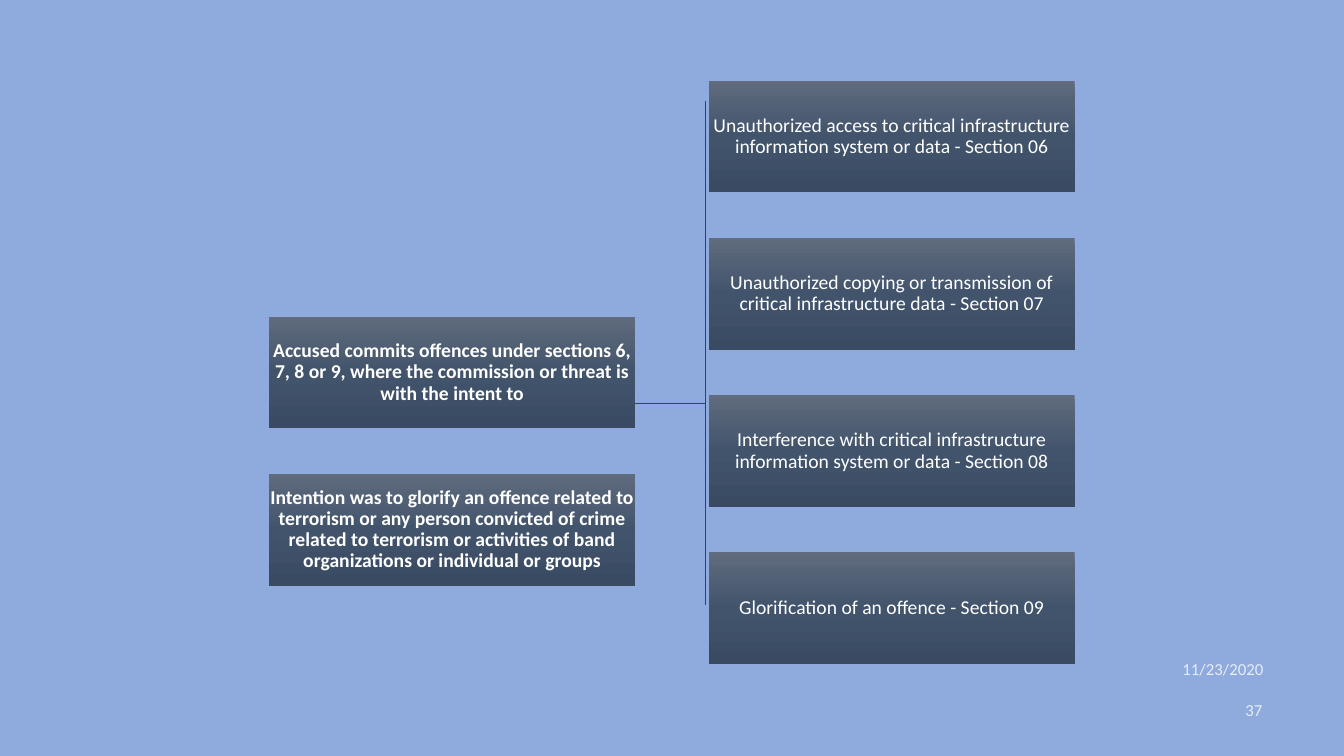
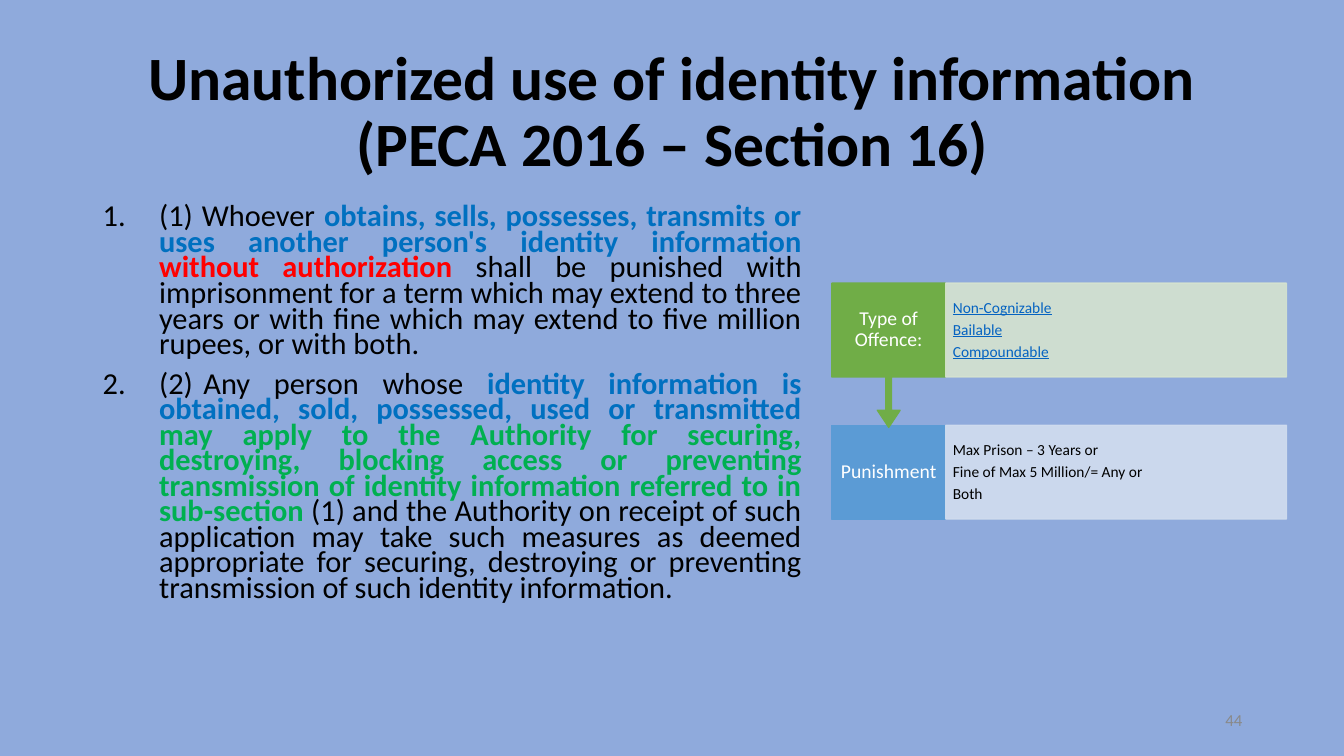
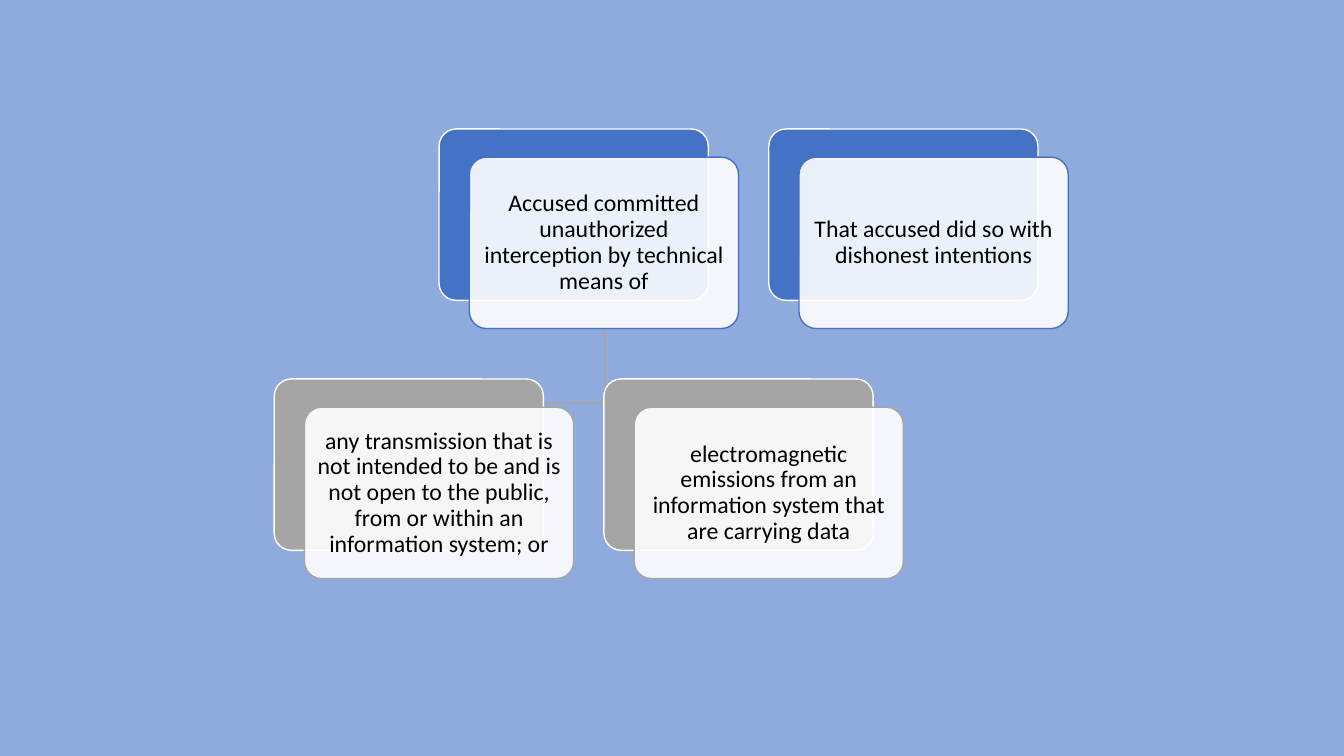
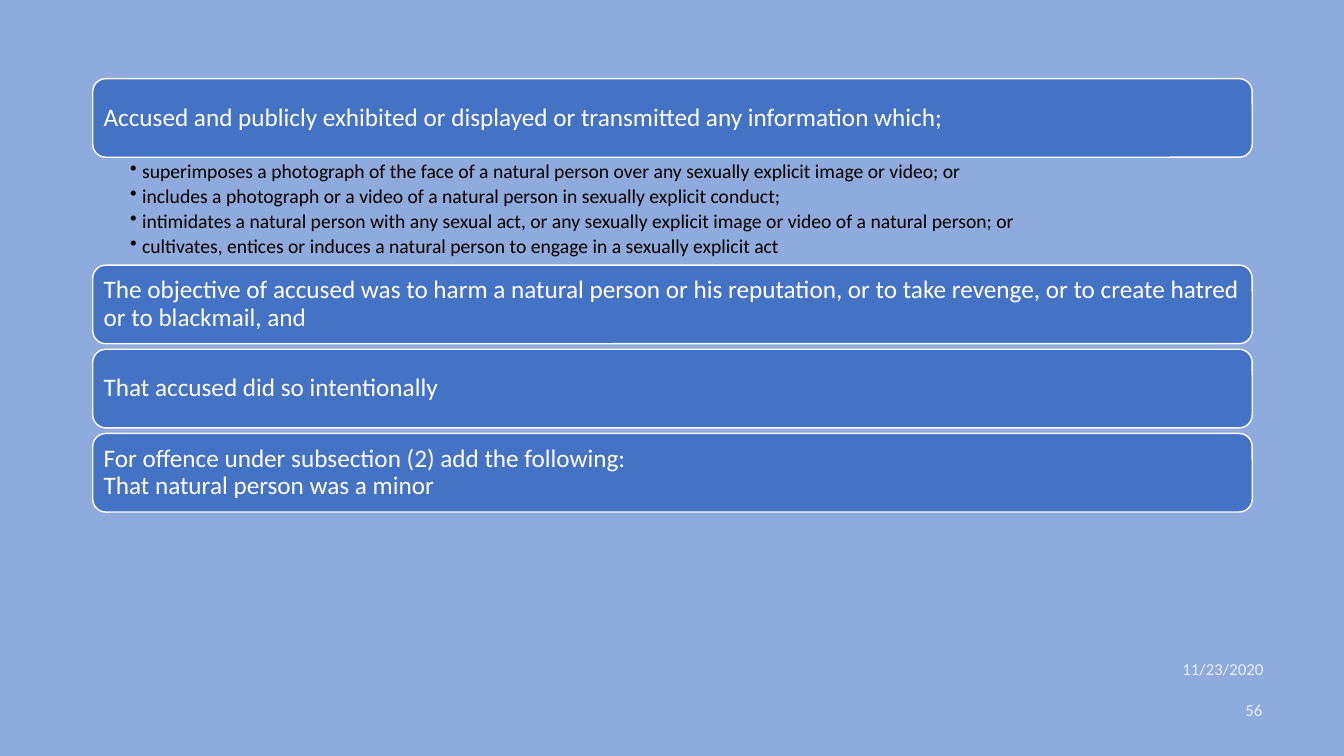
from lxml.etree import SubElement
from copy import deepcopy
from pptx import Presentation
from pptx.dml.color import RGBColor
from pptx.enum.shapes import MSO_SHAPE as SHAPE
from pptx.enum.text import MSO_ANCHOR as ANCHOR, PP_ALIGN as ALIGN
from pptx.oxml.ns import qn
from pptx.util import Inches, Pt

FONT = "Calibri"
TITLE_ONLY, BLANK = 5, 6
BACKDROP = RGBColor(0x8F, 0xAA, 0xDC)
WHITE = RGBColor(0xFF, 0xFF, 0xFF)
BLACK = RGBColor(0x00, 0x00, 0x00)
BLUE = RGBColor(0x44, 0x72, 0xC4)
GRAY = RGBColor(0xA5, 0xA5, 0xA5)
SLATE = RGBColor(0x36, 0x43, 0x55)
SLATE_STOPS = [(0, RGBColor(0x60, 0x6B, 0x7D)),
               (0.5, RGBColor(0x42, 0x54, 0x6C)),
               (1, RGBColor(0x39, 0x4A, 0x62))]
GREEN = RGBColor(0x70, 0xAD, 0x47)
PALE_GREEN = RGBColor(0xD5, 0xE3, 0xCF)
SKY = RGBColor(0x5B, 0x9B, 0xD5)
PALE_SKY = RGBColor(0xD2, 0xDE, 0xEF)
LINK = RGBColor(0x05, 0x63, 0xC1)
NUMBER_GRAY = RGBColor(0x89, 0x89, 0x89)
TEXT_BLUE = RGBColor(0x00, 0x70, 0xC0)
TEXT_RED = RGBColor(0xFF, 0x00, 0x00)
TEXT_GREEN = RGBColor(0x00, 0xB0, 0x50)


def set_opacity(parent, percent):
    """Make the solid fill held by an XML element partly transparent."""
    color = parent.find(qn("a:solidFill"))[0]
    SubElement(color, qn("a:alpha")).set("val", str(percent * 1000))


def set_bullet(p, indent, tag, **attrs):
    pPr = p._p.get_or_add_pPr()
    pPr.set("marL", str(Inches(indent)))
    pPr.set("indent", str(-Inches(indent)))
    SubElement(pPr, qn(tag), attrs)


def style_run(r, size, color, bold=False):
    r.font.name, r.font.size, r.font.bold = FONT, Pt(size), bold
    r.font.color.rgb = color


def setup_frame(sp, insets, anchor):
    tf = sp.text_frame
    tf.word_wrap = True
    tf.vertical_anchor = anchor
    tf.margin_left, tf.margin_top, tf.margin_right, tf.margin_bottom = map(Inches, insets)
    return tf


def write(sp, lines, size, color, align=ALIGN.CENTER, insets=(0.07,) * 4,
          anchor=ANCHOR.MIDDLE, bold=False, after=0.35, bullet=None):
    """Fill a shape with one paragraph per line; after is a share of the size."""
    tf = setup_frame(sp, insets, anchor)
    for i, line in enumerate(lines):
        p = tf.add_paragraph() if i else tf.paragraphs[0]
        p.text = line
        if bullet:
            set_bullet(p, 0.12, "a:buChar", char=bullet)
        p.alignment = align
        p.line_spacing = 0.9
        p.space_after = Pt(round(size * after, 1))
        for r in p.runs:
            style_run(r, size, color, bold)
    return tf


def add_box(slide, kind, box, fill=None, line=None, opacity=None):
    sp = slide.shapes.add_shape(kind, *map(Inches, box))
    sp.shadow.inherit = False
    if fill is not None:
        sp.fill.solid()
        sp.fill.fore_color.rgb = fill
        if opacity:
            set_opacity(sp.element.spPr, opacity)
    if line is None:
        sp.line.fill.background()
    else:
        sp.line.color.rgb = line
        sp.line.width = Pt(1)
    return sp


def add_textbox(slide, box):
    return slide.shapes.add_textbox(*map(Inches, box))


def add_branch(slide, points, color, width):
    """Draw an open line through points given in inches."""
    builder = slide.shapes.build_freeform(*points[0], scale=Inches(1))
    builder.add_line_segments(points[1:], close=False)
    sp = builder.convert_to_shape()
    sp.shadow.inherit = False
    sp.fill.background()
    sp.line.color.rgb = color
    sp.line.width = Pt(width)


def add_footer(slide, date, number):
    for text, box in ((date, (10.3, 6.45, 2.33, 0.4)), (number, (11.15, 6.85, 1.47, 0.4))):
        tf = write(add_textbox(slide, box), [text], 12, WHITE, ALIGN.RIGHT,
                   (0.1, 0.05, 0.1, 0.05))
        set_opacity(tf.paragraphs[0].runs[0]._r.rPr, 80)


def add_slate_box(slide, left, top, width, height, text, bold=False):
    sp = add_box(slide, SHAPE.RECTANGLE, (left, top, width, height))
    sp.fill.gradient()
    sp.fill.gradient_angle = 270
    stops = sp.element.spPr.find(qn("a:gradFill")).find(qn("a:gsLst"))
    stops.insert(1, deepcopy(stops[0]))
    for stop, (position, color) in zip(sp.fill.gradient_stops, SLATE_STOPS):
        stop.position = position
        stop.color.rgb = color
    write(sp, [text], 14, WHITE, insets=(0.01,) * 4, bold=bold)


def add_section_tree(slide, left, top, roots, sections):
    """Roots in the left column; the first one branches to every section."""
    width, height, pitch, gap = 3.63, 1.11, 1.56, 0.73
    root_right, section_left = left + width, left + width + gap
    root_top = top + 1.5 * pitch
    root_mid = root_top + height / 2
    elbow = root_right + gap / 2
    for i in reversed(range(len(sections))):
        mid = top + i * pitch + height / 2
        add_branch(slide, [(root_right, root_mid), (elbow, root_mid),
                           (elbow, mid), (section_left, mid)], SLATE, 0.5)
    for i, text in enumerate(roots):
        add_slate_box(slide, left, root_top + i * pitch, width, height, text, True)
    for i, text in enumerate(sections):
        add_slate_box(slide, section_left, top + i * pitch, width, height, text)


def add_title(slide, text, box):
    title = slide.shapes.title
    title.left, title.top, title.width, title.height = map(Inches, box)
    write(title, [text], 44, BLACK, insets=(0.1, 0.05, 0.1, 0.05), bold=True, after=0)


def add_clauses(slide, box, clauses):
    """Numbered paragraphs made of (text, colour, bold) runs."""
    tf = setup_frame(add_textbox(slide, box), (0.1, 0.05, 0.1, 0.05), ANCHOR.TOP)
    for i, clause in enumerate(clauses):
        p = tf.add_paragraph() if i else tf.paragraphs[0]
        set_bullet(p, 0.56, "a:buAutoNum", type="arabicPeriod")
        p.alignment = ALIGN.JUSTIFY
        p.line_spacing = 0.7
        p.space_before = Pt(10 if i else 0)
        for text, color, bold in clause:
            r = p.add_run()
            r.text = text
            style_run(r, 21.7, color, bold)


def add_offence_steps(slide, left, top):
    label_w, detail_w, height, pitch = 1.13, 3.38, 0.93, 1.41
    rows = [("Punishment", top + pitch, SHAPE.RECTANGLE, height, SKY, PALE_SKY, BLACK,
             ["Max Prison – 3 Years or", "Fine of Max 5 Million/= Any or", "Both"]),
            ("Type of Offence:", top, SHAPE.DOWN_ARROW_CALLOUT, 1.43, GREEN, PALE_GREEN, LINK,
             ["Non-Cognizable", "Bailable", "Compoundable"])]
    for label, y, kind, label_h, strong, pale, ink, details in rows:
        sp = add_box(slide, kind, (left, y, label_w, label_h), strong, strong)
        for i, value in enumerate((0.05, 0.1, 0.15, 0.65)[:len(sp.adjustments)]):
            sp.adjustments[i] = value
        write(sp, [label], 14, WHITE, insets=(0.08, 0.11, 0.08, 0.11))
        sp = add_box(slide, SHAPE.RECTANGLE, (left + label_w, y, detail_w, height),
                     pale, pale, 90)
        set_opacity(sp.line._ln, 90)
        tf = write(sp, details, 11, ink, ALIGN.LEFT, (0.07, 0.15, 0.07, 0.15))
        for p in tf.paragraphs:
            p.runs[0].font.underline = ink == LINK


def add_card(slide, left, top, width, height, color, text):
    """A coloured card with a translucent text card set down and to the right."""
    back = add_box(slide, SHAPE.ROUNDED_RECTANGLE, (left, top, width, height), color, WHITE)
    front = add_box(slide, SHAPE.ROUNDED_RECTANGLE, (left + 0.3, top + 0.28, width, height),
                    WHITE, color, 90)
    for sp in (back, front):
        sp.adjustments[0] = 0.1
    write(front, [text], 17, BLACK)


def add_card_tree(slide, left, top, roots, children):
    """Two rows of cards; the first root branches to every child."""
    width, height, pitch, drop = 2.67, 1.7, 3.27, 2.48
    root_left, child_top = left + pitch / 2, top + drop
    stem, bottom = root_left + width / 2, top + height
    for i in reversed(range(len(children))):
        x = left + i * pitch + width / 2
        add_branch(slide, [(stem, bottom), (stem, child_top - 0.25),
                           (x, child_top - 0.25), (x, child_top)], GRAY, 1)
    for x, y, color, texts in ((root_left, top, BLUE, roots), (left, child_top, GRAY, children)):
        for i, text in enumerate(texts):
            add_card(slide, x + i * pitch, y, width, height, color, text)


def add_elements(slide, left, top, width, first, points, others):
    """A bar with bullet points under it, then further bars at equal steps."""
    height, points_h, pitch = 0.78, 1.06, 0.835
    others_top = top + height + 0.01 + points_h
    bars = [(top, first)] + [(others_top + i * pitch, t) for i, t in enumerate(others)]
    for y, text in bars:
        sp = add_box(slide, SHAPE.ROUNDED_RECTANGLE, (left, y, width, height), BLUE, WHITE)
        write(sp, [text], 18, WHITE, ALIGN.LEFT)
    write(add_textbox(slide, (left, top + height + 0.01, width, points_h)), points, 14, BLACK,
          ALIGN.LEFT, (0.37, 0.03, 0.14, 0.03), ANCHOR.TOP, after=0.2, bullet="•")


def main():
    prs = Presentation()
    prs.slide_width, prs.slide_height = Inches(13.33), Inches(7.5)
    fill = prs.slide_master.background.fill
    fill.solid()
    fill.fore_color.rgb = BACKDROP

    def new_slide(layout):
        return prs.slides.add_slide(prs.slide_layouts[layout])

    slide = new_slide(BLANK)
    add_footer(slide, "11/23/2020", "37")
    add_section_tree(
        slide, 2.67, 0.8,
        ["Accused commits offences under sections 6, 7, 8 or 9, where the commission or "
         "threat is with the intent to",
         "Intention was to glorify an offence related to terrorism or any person convicted of "
         "crime related to terrorism or activities of band organizations or individual or groups"],
        ["Unauthorized access to critical infrastructure information system or data - Section 06",
         "Unauthorized copying or transmission of critical infrastructure data - Section 07",
         "Interference with critical infrastructure information system or data - Section 08",
         "Glorification of an offence - Section 09"])

    slide = new_slide(TITLE_ONLY)
    add_title(slide, "Unauthorized use of identity information (PECA 2016 – Section 16)",
              (0.92, 0.4, 11.5, 1.45))
    add_clauses(slide, (0.92, 2, 7.13, 4.76), [
        [("(1) Whoever ", BLACK, False),
         ("obtains, sells, possesses, transmits or uses another person's identity information ",
          TEXT_BLUE, True),
         ("without authorization ", TEXT_RED, True),
         ("shall be punished with imprisonment for a term which may extend to three years or "
          "with fine which may extend to five million rupees, or with both.", BLACK, False)],
        [("(2)\tAny person whose ", BLACK, False),
         ("identity information is obtained, sold, possessed, used or transmitted ",
          TEXT_BLUE, True),
         ("may apply to the Authority for securing, destroying, blocking access or preventing "
          "transmission of identity information referred to in sub-section ", TEXT_GREEN, True),
         ("(1) and the Authority on receipt of such application may take such measures as "
          "deemed appropriate for securing, destroying or preventing transmission of such "
          "identity information.", BLACK, False)]])
    add_offence_steps(slide, 8.25, 2.81)
    write(add_textbox(slide, (9.42, 6.95, 3, 0.4)), ["44"], 12, NUMBER_GRAY, ALIGN.RIGHT,
          (0.1, 0.05, 0.1, 0.05))

    slide = new_slide(BLANK)
    add_card_tree(
        slide, 2.72, 1.28,
        ["Accused committed unauthorized interception by technical means of",
         "That accused did so with dishonest intentions"],
        ["any transmission that is not intended to be and is not open to the public, from or "
         "within an information system; or",
         "electromagnetic emissions from an information system that are carrying data"])

    slide = new_slide(BLANK)
    add_footer(slide, "11/23/2020", "56")
    add_elements(
        slide, 0.92, 0.78, 11.5,
        "Accused and publicly exhibited or displayed or transmitted any information which;",
        ["superimposes a photograph of the face of a natural person over any sexually explicit "
         "image or video; or",
         "includes a photograph or a video of a natural person in sexually explicit conduct;",
         "intimidates a natural person with any sexual act, or any sexually explicit image or "
         "video of a natural person; or",
         "cultivates, entices or induces a natural person to engage in a sexually explicit act"],
        ["The objective of accused was to harm a natural person or his reputation, or to take "
         "revenge, or to create hatred or to blackmail, and",
         "That accused did so intentionally",
         "For offence under subsection (2) add the following:\vThat natural person was a minor"])

    prs.save("out.pptx")


if __name__ == "__main__":
    main()
